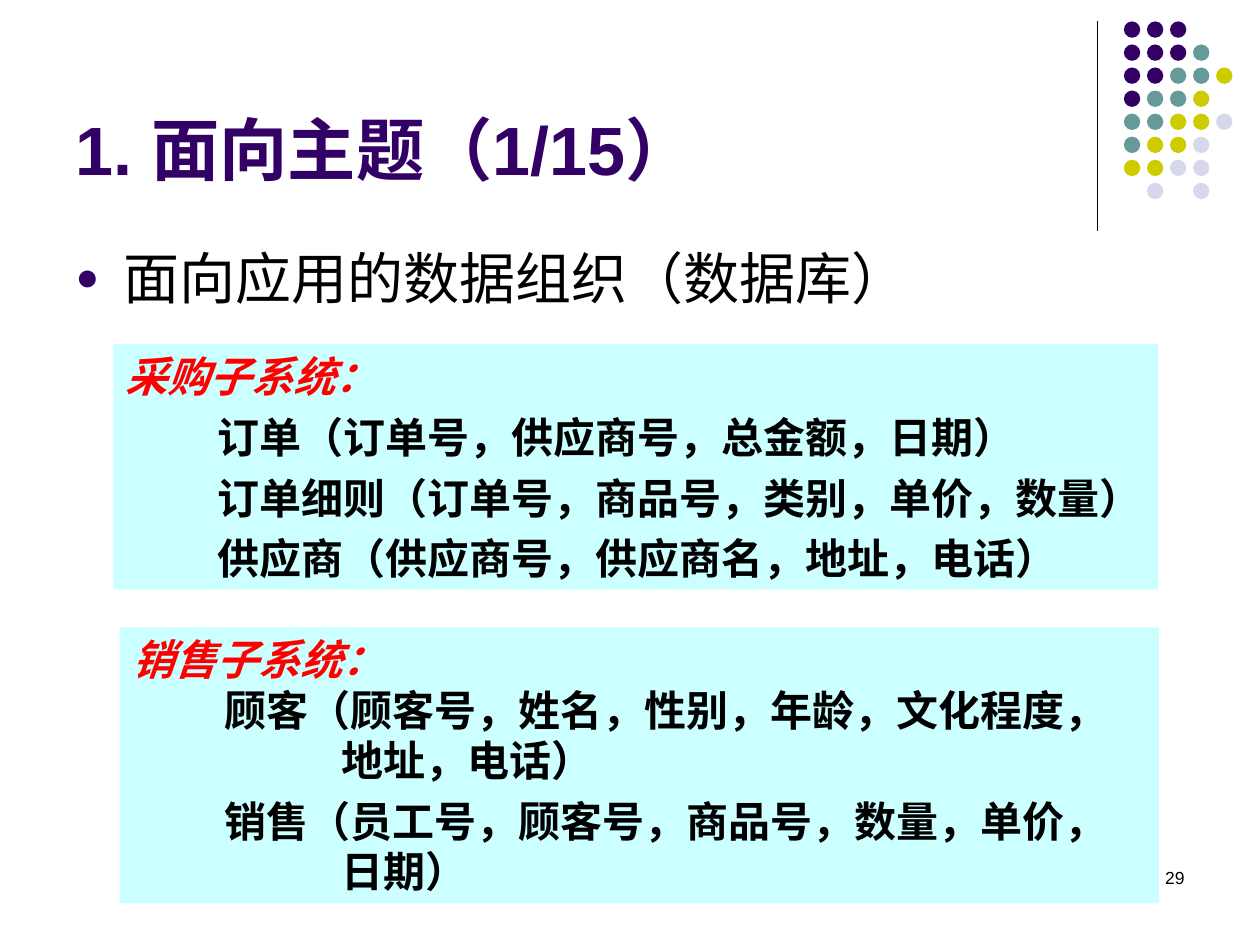
from lxml.etree import SubElement
from pptx import Presentation
from pptx.dml.color import RGBColor
from pptx.enum.shapes import MSO_CONNECTOR as Connector, MSO_SHAPE as Shape
from pptx.enum.text import MSO_ANCHOR as Anchor, PP_ALIGN as Align
from pptx.oxml.ns import qn
from pptx.util import Inches, Pt

COLORS = {
    "purple": "330066", "teal": "669999", "olive": "CCCC00", "lilac": "D8D8EC",
    "black": "000000", "red": "FF0000", "cyan": "CCFFFF",
}
TITLE = "1. 面向主题（1/15）"
BULLET = "面向应用的数据组织（数据库）"
PAGE_NUMBER = "29"

# Each subsystem: box, heading, left margin, first-line indent,
# and its tables as (text, space before)
SUBSYSTEMS = [
    ((0.9, 2.73, 8.29, 1.95), "采购子系统：", 0.73, 0, [
        ("订单（订单号，供应商号，总金额，日期）", 6),
        ("订单细则（订单号，商品号，类别，单价，数量）", 6),
        ("供应商（供应商号，供应商名，地址，电话）", 6),
    ]),
    ((0.95, 4.98, 8.25, 2.19), "销售子系统：", 1.66, -0.93, [
        ("顾客（顾客号，姓名，性别，年龄，文化程度，地址，电话）", 0),
        ("销售（员工号，顾客号，商品号，数量，单价，日期）", 6),
    ]),
]

# One letter per dot: first letter of its colour, "." for none
DOT_ROWS = ["ppp", "pppt", "pptto", "ptto", "ttool", "tool", "ooll", ".l.l"]
DOT_COLORS = {name[0]: name for name in ("purple", "teal", "olive", "lilac")}
DOT_LEFT, DOT_TOP, DOT_PITCH, DOT_SIZE = 8.92, 0.17, 0.183, 0.13


def rgb(name):
    return RGBColor.from_string(COLORS[name])


def inches(box):
    return [Inches(length) for length in box]


def place(shape, box):
    shape.left, shape.top, shape.width, shape.height = inches(box)


def add_filled(slide, kind, box, color):
    shape = slide.shapes.add_shape(kind, *inches(box))
    shape.shadow.inherit = False
    shape.fill.solid()
    shape.fill.fore_color.rgb = rgb(color)
    shape.line.fill.background()
    return shape


def write(frame, text, size, *, color="black", font="Arial", bold=False, italic=False,
          align=Align.LEFT, before=0, margin=0, indent=0, new=False):
    """Write one paragraph: the first of the frame, or a new one after the rest."""
    paragraph = frame.add_paragraph() if new else frame.paragraphs[0]
    paragraph.alignment = align
    paragraph.space_before = Pt(before)
    properties = paragraph._p.get_or_add_pPr()
    properties.set("marL", str(Inches(margin)))
    properties.set("indent", str(Inches(indent)))
    run = paragraph.add_run()
    run.text = text
    run.font.size = Pt(size)
    run.font.name = font
    run.font.bold = bold
    run.font.italic = italic
    run.font.color.rgb = rgb(color)
    return paragraph


def add_bullet(paragraph, character, color, percent):
    properties = paragraph._p.get_or_add_pPr()
    bullet_color = SubElement(properties, qn("a:buClr"))
    SubElement(bullet_color, qn("a:srgbClr"), val=COLORS[color])
    SubElement(properties, qn("a:buSzPct"), val=str(percent * 1000))
    SubElement(properties, qn("a:buFont"), typeface="Arial")
    SubElement(properties, qn("a:buChar"), char=character)


def add_decoration(slide):
    line = slide.shapes.add_connector(Connector.STRAIGHT, *inches((8.71, 0.17, 8.71, 1.83)))
    line.line.color.rgb = rgb("black")
    line.line.width = Pt(0.75)
    SubElement(line._element.spPr, qn("a:effectLst"))
    for row, letters in enumerate(DOT_ROWS):
        for column, letter in enumerate(letters):
            if letter in DOT_COLORS:
                box = (DOT_LEFT + column * DOT_PITCH, DOT_TOP + row * DOT_PITCH,
                       DOT_SIZE, DOT_SIZE)
                add_filled(slide, Shape.OVAL, box, DOT_COLORS[letter])


def add_subsystem(slide, box, heading, margin, indent, tables):
    frame = add_filled(slide, Shape.RECTANGLE, box, "cyan").text_frame
    frame.word_wrap = True
    frame.vertical_anchor = Anchor.TOP
    style = {"font": "Times New Roman", "bold": True}
    write(frame, heading, 24, color="red", italic=True, before=6, **style)
    for text, before in tables:
        write(frame, text, 24, before=before, margin=margin, indent=indent, new=True, **style)


def main():
    presentation = Presentation()
    presentation.slide_width, presentation.slide_height = Inches(10), Inches(7.5)
    slide = presentation.slides.add_slide(presentation.slide_layouts[1])
    add_decoration(slide)

    title, body = slide.shapes.title, slide.placeholders[1]
    place(title, (0.5, 0.13, 8.25, 1.42))
    title.text_frame.vertical_anchor = Anchor.BOTTOM
    write(title.text_frame, TITLE, 39, color="purple", bold=True)

    place(body, (0.5, 1.88, 9, 4.82))
    bullet = write(body.text_frame, BULLET, 32, before=8, margin=0.38, indent=-0.38)
    add_bullet(bullet, "●", "purple", 70)

    number = slide.shapes.add_textbox(*inches((7.17, 6.83, 2.33, 0.5)))
    number.text_frame.word_wrap = True
    write(number.text_frame, PAGE_NUMBER, 10, align=Align.RIGHT)

    for subsystem in SUBSYSTEMS:
        add_subsystem(slide, *subsystem)
    presentation.save("out.pptx")


if __name__ == "__main__":
    main()
